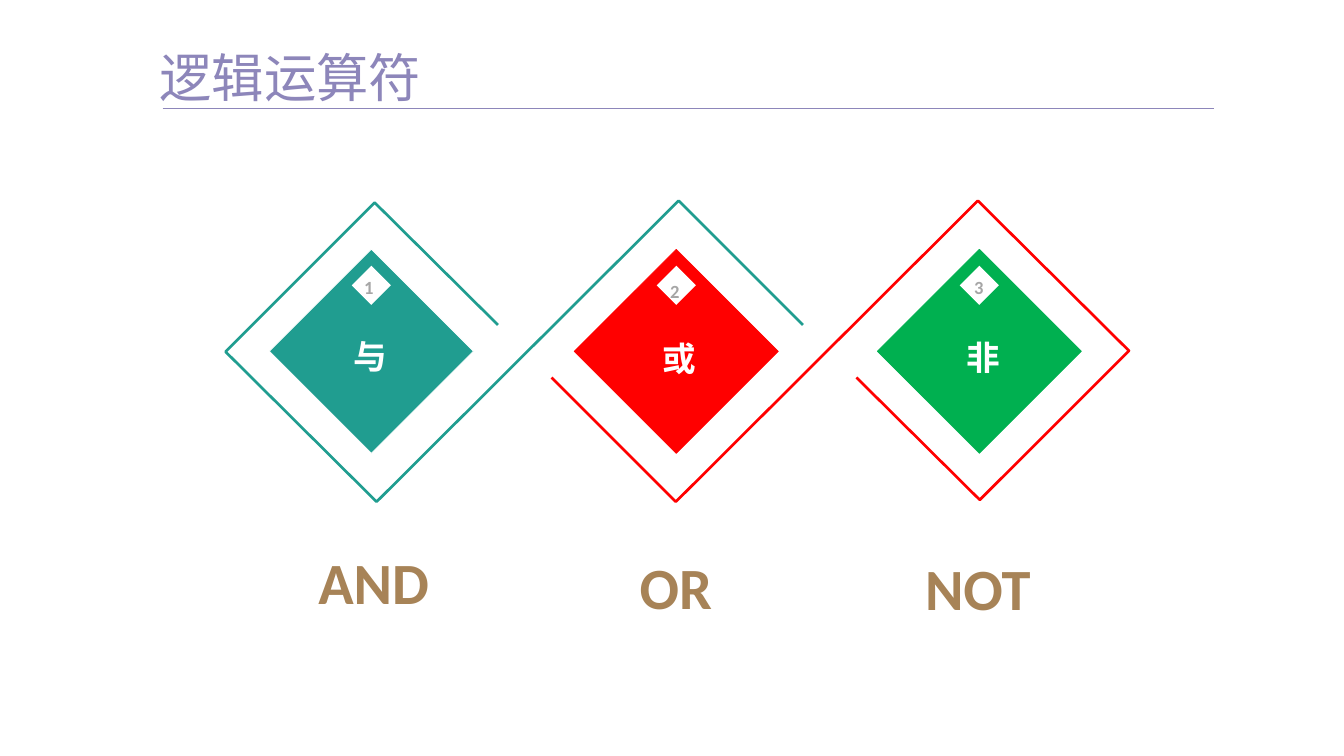
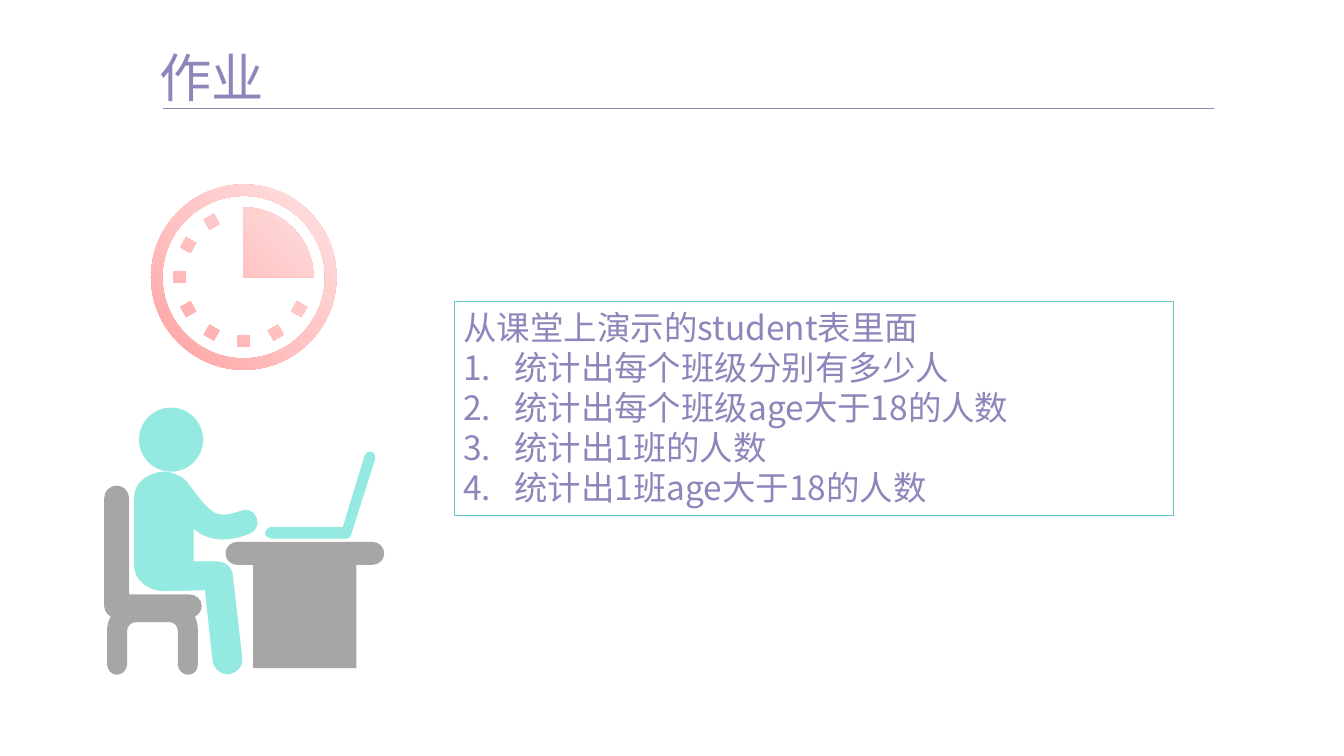
import copy
import math

import pptx
import pptx.dml.color
import pptx.enum.shapes
import pptx.enum.text
import pptx.oxml
import pptx.oxml.ns
import pptx.util

COLUMNS, ROWS = 14.06, 7.91  # square grid cells, one inch each
CJK, LATIN = "Noto Sans CJK SC", "Calibri"
PURPLE, BROWN, GREY, WHITE = "8D86BA", "A78357", "A6A6A6", "FFFFFF"
TEAL, RED, GREEN, MINT, AQUA = "209D90", "FF0000", "00B050", "94E9E0", "65C4CA"
PINKS = ("FFA0A0", "FFC5C5", "FFE3E3")

SHAPE = pptx.enum.shapes.MSO_SHAPE
ALIGN = pptx.enum.text.PP_ALIGN
qn = pptx.oxml.ns.qn


def cells(n):
    return pptx.util.Inches(n)


def rgb(code):
    return pptx.dml.color.RGBColor.from_string(code)


def arc(cx, cy, radius, start=0, quarters=4):
    """Steps of a clockwise arc made of quarter circles, from start * 90 degrees."""
    def spot(u, v):
        return cx + radius * u, cy + radius * v

    axes = [(0, -1), (1, 0), (0, 1), (-1, 0)]
    steps = [spot(*axes[start])]
    for i in range(start, start + quarters):
        (ux, uy), (vx, vy) = axes[i % 4], axes[(i + 1) % 4]
        bend = 0.55
        steps.append(spot(ux + bend * vx, uy + bend * vy)
                     + spot(vx + bend * ux, vy + bend * uy) + spot(vx, vy))
    return steps


class Deck:
    def __init__(self):
        self.prs = pptx.Presentation()
        self.prs.slide_width, self.prs.slide_height = cells(COLUMNS), cells(ROWS)
        self.s = None

    def slide(self, title, title_width):
        self.s = self.prs.slides.add_slide(self.prs.slide_layouts[6])
        self.text(title, 1.67, 0.47, title_width, 0.66, 39.4, PURPLE, font=CJK)
        self.rule(1.7, 1.13, 12.7)

    def rule(self, left, y, right):
        line = self.s.shapes.add_connector(
            pptx.enum.shapes.MSO_CONNECTOR.STRAIGHT, *map(cells, (left, y, right, y)))
        line.line.color.rgb = rgb(PURPLE)
        line.line.width = pptx.util.Pt(0.5)
        line._element.spPr.append(pptx.oxml.parse_xml(
            f"<a:effectLst {pptx.oxml.ns.nsdecls('a')}/>"))

    def paint(self, sp, fill=None, line=None, width=0.75):
        sp.shadow.inherit = False
        if fill:
            sp.fill.solid()
            sp.fill.fore_color.rgb = rgb(fill)
        else:
            sp.fill.background()
        if line:
            sp.line.color.rgb = rgb(line)
            sp.line.width = pptx.util.Pt(width)
        else:
            sp.line.fill.background()
        return sp

    def shape(self, kind, left, top, w, h, fill=None, line=None, width=0.75, turn=0):
        sp = self.s.shapes.add_shape(kind, *map(cells, (left, top, w, h)))
        sp.rotation = turn
        return self.paint(sp, fill, line, width)

    def freeform(self, contours, fill=None, line=None, width=0.75, close=True):
        """Draw contours of points (x, y) and curves (two controls, end point)."""
        builder = None
        for steps in contours:
            start, *rest = [(cells(step[-2]), cells(step[-1])) for step in steps]
            if builder is None:
                builder = self.s.shapes.build_freeform(*start, scale=1.0)
            else:
                builder.move_to(*start)
            builder.add_line_segments(rest, close=close)
        sp = builder.convert_to_shape()
        self.bend(sp, [step for steps in contours for step in steps])
        return self.paint(sp, fill, line, width)

    def bend(self, sp, steps):
        """Turn the segments of six-number steps into Bezier curves."""
        path = sp._element.spPr.find(".//" + qn("a:path"))
        segments = [seg for seg in path if seg.tag != qn("a:close")]
        for seg, step in zip(segments, steps):
            if len(step) == 6:
                curve = path.makeelement(qn("a:cubicBezTo"), {})
                for x, y in (step[:2], step[2:4], step[4:]):
                    curve.append(curve.makeelement(qn("a:pt"), {
                        "x": str(cells(x) - sp.left), "y": str(cells(y) - sp.top)}))
                path.replace(seg, curve)

    def gradient(self, sp, colours, angle):
        sp.fill.gradient()
        sp.fill.gradient_angle = angle
        stop = sp._element.spPr.find(".//" + qn("a:gs"))
        for _ in colours[2:]:
            stop.addnext(copy.deepcopy(stop))
        for i, (stop, colour) in enumerate(zip(sp.fill.gradient_stops, colours)):
            stop.position = i / (len(colours) - 1)
            stop.color.rgb = rgb(colour)

    def style(self, p, size, colour, font, bold=False, align=ALIGN.LEFT, spacing=None):
        p.alignment = align
        if spacing:
            p.line_spacing = spacing
        for r in p.runs:
            r.font.size, r.font.name, r.font.bold = pptx.util.Pt(size), font, bold
            r.font.color.rgb = rgb(colour)
            east_asian = r._r.rPr.makeelement(qn("a:ea"), {"typeface": CJK})
            r._r.rPr.find(qn("a:latin")).addnext(east_asian)

    def text(self, words, left, top, w, h, size, colour, font=LATIN, wrap=True, **style):
        box = self.s.shapes.add_textbox(*map(cells, (left, top, w, h)))
        tf = box.text_frame
        tf.margin_left = tf.margin_right = tf.margin_top = tf.margin_bottom = 0
        tf.word_wrap = wrap
        tf.auto_size = pptx.enum.text.MSO_AUTO_SIZE.SHAPE_TO_FIT_TEXT
        tf.text = words
        self.style(tf.paragraphs[0], size, colour, font, **style)

    def label(self, words, left, top, w, h, size, colour, spacing=1.2, wrap=True):
        """Add bold centred text."""
        self.text(words, left, top, w, h, size, colour, wrap=wrap,
                  bold=True, align=ALIGN.CENTER, spacing=spacing)

    def task_box(self, intro, tasks, left, top, w, h):
        """Add a framed intro line with a numbered list below it."""
        tf = self.shape(SHAPE.RECTANGLE, left, top, w, h, line=AQUA).text_frame
        tf.word_wrap = True
        tf.vertical_anchor = pptx.enum.text.MSO_ANCHOR.TOP
        tf.text = "\n".join([intro, *tasks])
        for i, p in enumerate(tf.paragraphs):
            self.style(p, 25.2, PURPLE, CJK)
            if i:
                pPr = p._p.get_or_add_pPr()
                pPr.set("marL", str(cells(0.53)))
                pPr.set("indent", str(cells(-0.53)))
                pPr.append(pPr.makeelement(qn("a:buAutoNum"), {"type": "arabicPeriod"}))

    def clock(self, cx, cy):
        quarter = [(cx, cy), *arc(cx, cy, 0.73, quarters=1)]
        contours = [arc(cx, cy, 0.97), arc(cx, cy, 0.85), quarter]
        for hour in range(4, 12):
            a = math.radians(30 * hour)
            contours.append([
                (cx + r * math.sin(a) + side * math.cos(a),
                 cy - r * math.cos(a) + side * math.sin(a))
                for r, side in ((0.61, -0.06), (0.73, -0.06), (0.73, 0.06), (0.61, 0.06))])
        self.gradient(self.freeform(contours, PINKS[0]), PINKS, 45)

    def student(self):
        """Draw a person working on a laptop at a desk."""
        head = arc(1.79, 4.6, 0.33)
        body = [
            (2.43, 6.01), (2.42, 5.93, 2.35, 5.88, 2.28, 5.88), (2.02, 5.88),
            (2.02, 5.52), (2.1, 5.59, 2.2, 5.64, 2.33, 5.64),
            (2.41, 5.64, 2.5, 5.62, 2.61, 5.58), (2.67, 5.56, 2.71, 5.48, 2.68, 5.42),
            (2.66, 5.35, 2.58, 5.32, 2.52, 5.35), (2.26, 5.44, 2.21, 5.39, 1.98, 5.08),
            (1.94, 5.01, 1.86, 4.97, 1.79, 4.95), (1.79, 4.95, 1.75, 4.94, 1.72, 4.94),
            (1.68, 4.94, 1.64, 4.95, 1.64, 4.95), (1.53, 4.98, 1.41, 5.06, 1.41, 5.2),
            (1.41, 5.92), (1.41, 6.08, 1.57, 6.18, 1.72, 6.18), (2.15, 6.17),
            (2.23, 6.92), (2.24, 6.99, 2.31, 7.05, 2.38, 7.05),
            (2.48, 7.04, 2.54, 6.97, 2.53, 6.88)]
        chair = [
            (2.11, 6.34), (2.11, 6.27, 2.05, 6.22, 1.98, 6.22), (1.35, 6.22),
            (1.35, 5.21), (1.35, 5.14, 1.29, 5.08, 1.22, 5.08),
            (1.15, 5.08, 1.09, 5.14, 1.09, 5.21), (1.09, 6.34),
            (1.09, 6.39, 1.12, 6.43, 1.16, 6.45), (1.13, 6.5, 1.12, 6.55, 1.12, 6.6),
            (1.12, 6.95), (1.12, 7.01, 1.17, 7.06, 1.22, 7.06),
            (1.28, 7.06, 1.33, 7.01, 1.33, 6.95), (1.33, 6.6),
            (1.33, 6.55, 1.37, 6.51, 1.42, 6.51), (1.78, 6.51),
            (1.82, 6.51, 1.86, 6.55, 1.86, 6.6), (1.86, 6.95),
            (1.86, 7.01, 1.91, 7.06, 1.97, 7.06), (2.03, 7.06, 2.07, 7.01, 2.07, 6.95),
            (2.07, 6.6), (2.07, 6.55, 2.06, 6.5, 2.04, 6.45),
            (2.08, 6.43, 2.11, 6.39, 2.11, 6.34)]
        desk = [*arc(3.9, 5.79, 0.12, 0, 2), (3.73, 5.91), (3.73, 6.99),
                (2.65, 6.99), (2.65, 5.91), *arc(2.48, 5.79, 0.12, 2, 2)]
        laptop = [
            (3.82, 4.77), (3.59, 5.52), (2.84, 5.52),
            (2.81, 5.52, 2.78, 5.55, 2.78, 5.58), (2.78, 5.6, 2.81, 5.63, 2.84, 5.63),
            (3.63, 5.63), (3.65, 5.63, 3.67, 5.61, 3.67, 5.59), (3.92, 4.8),
            (3.93, 4.77, 3.91, 4.74, 3.89, 4.73), (3.86, 4.72, 3.83, 4.74, 3.82, 4.77)]
        for steps, fill, line in ((head, MINT, MINT), (body, MINT, MINT),
                                  (chair, GREY, None), (desk, GREY, None),
                                  (laptop, MINT, MINT)):
            self.freeform([steps], fill, line)


def operators(deck):
    deck.slide("逻辑运算符", 3.24)
    rows = (
        ("与", "AND", TEAL, WHITE, 3.13, (3.81, 2.84), (3.3, 3.43), 5.49),
        ("或", "OR", RED, RED, 6.32, (7.01, 2.88), (6.54, 3.45), 5.55),
        ("非", "NOT", GREEN, GREEN, 9.49, (10.19, 2.84), (9.72, 3.44), 5.56),
    )
    for i, (_, keyword, *_, top) in enumerate(rows):
        deck.label(keyword, 2.59 + 3.16 * i, top, 2.64, 0.88, 44, BROWN, spacing=1.3)
    band = [(8.4, 3.4), (7.1, 2.1), (3.94, 5.25), (2.36, 3.68), (3.92, 2.12), (5.21, 3.4)]
    half_turn = [(14.17 - x, 7.35 - y) for x, y in band]
    for points, colour in ((band, TEAL), (half_turn, RED)):
        deck.freeform([points], line=colour, width=2, close=False)
    for i, (word, _, fill, edge, left, number_at, word_at, _) in enumerate(rows):
        deck.shape(SHAPE.RECTANGLE, left, 2.92, 1.51, 1.51, fill, edge, 0.5, turn=315)
        deck.shape(SHAPE.RECTANGLE, left + 0.61, 2.84, 0.29, 0.29, WHITE, turn=315)
        deck.label(str(i + 1), *number_at, 0.1, 0.26, 14, GREY, wrap=False)
        deck.label(word, *word_at, 1.14, 0.48, 25.3, WHITE)


def homework(deck):
    deck.slide("作业", 4.18)
    deck.student()
    deck.clock(2.55, 2.9)
    deck.task_box("从课堂上演示的student表里面",
                  ["统计出每个班级分别有多少人", "统计出每个班级age大于18的人数",
                   "统计出1班的人数", "统计出1班age大于18的人数"],
                  4.75, 3.16, 7.53, 2.23)


def main():
    deck = Deck()
    operators(deck)
    homework(deck)
    deck.prs.save("out.pptx")


if __name__ == "__main__":
    main()
